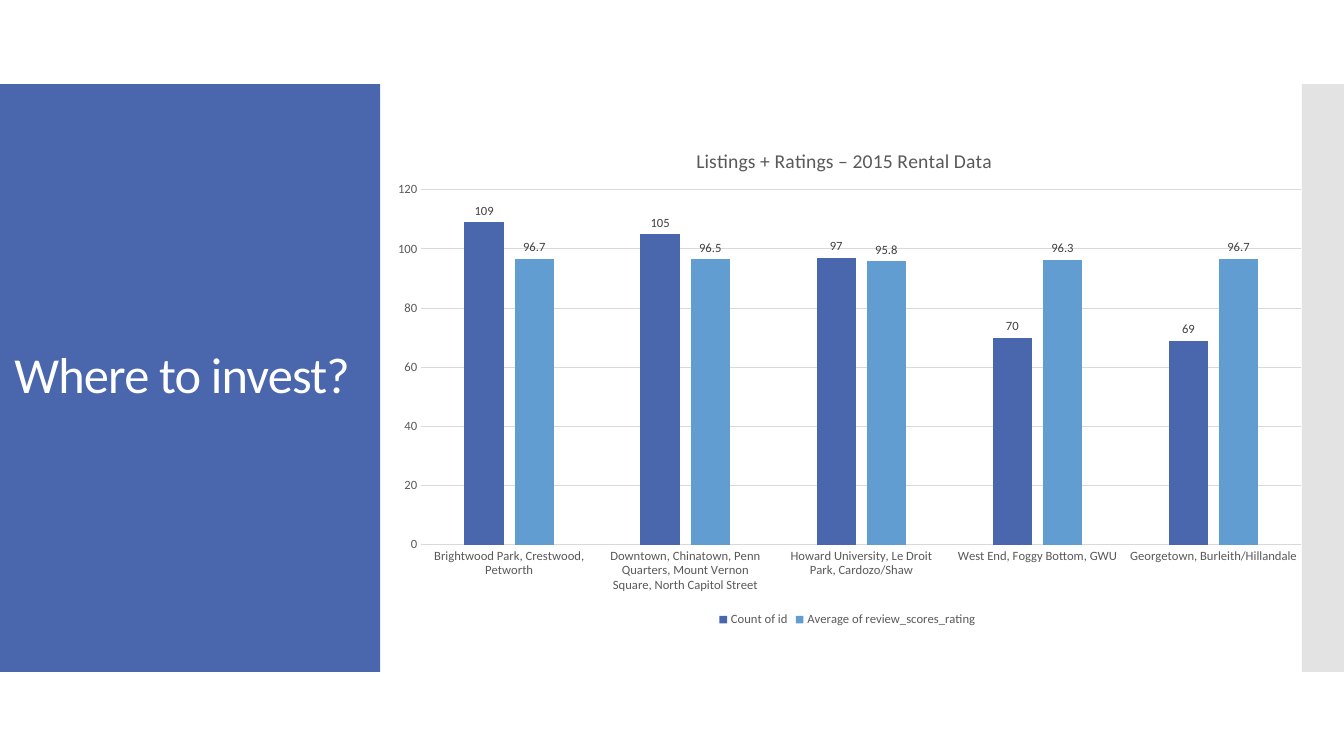
from lxml import etree
from pptx import Presentation
from pptx.chart.data import CategoryChartData
from pptx.dml.color import RGBColor
from pptx.enum.chart import XL_CHART_TYPE, XL_LABEL_POSITION, XL_LEGEND_POSITION, XL_TICK_MARK
from pptx.enum.shapes import MSO_SHAPE
from pptx.enum.text import MSO_ANCHOR, PP_ALIGN
from pptx.oxml import parse_xml
from pptx.oxml.ns import nsdecls, qn
from pptx.util import Pt

EMU_PER_PX = 9525
COLUMNS = XL_CHART_TYPE.COLUMN_CLUSTERED
OUTSIDE_END = XL_LABEL_POSITION.OUTSIDE_END
LEGEND_BOTTOM = XL_LEGEND_POSITION.BOTTOM
NO_TICK = XL_TICK_MARK.NONE
RECTANGLE = MSO_SHAPE.RECTANGLE
MIDDLE = MSO_ANCHOR.MIDDLE
CENTER = PP_ALIGN.CENTER

COLORS = {
    "indigo": "4A66AC",
    "sky": "629DD1",
    "silver": "C8C8C8",
    "grid": "D9D9D9",
    "axis_text": "595959",
    "label_text": "404040",
    "white": "FFFFFF",
}
FONT = "Calibri"
NEIGHBORHOODS = [
    "Brightwood Park, Crestwood, Petworth",
    "Downtown, Chinatown, Penn Quarters, Mount Vernon Square, North Capitol Street",
    "Howard University, Le Droit Park, Cardozo/Shaw",
    "West End, Foggy Bottom, GWU",
    "Georgetown, Burleith/Hillandale",
]
SERIES = [
    ("Count of id", [109, 105, 97, 70, 69], "indigo", "General"),
    ("Average of review_scores_rating", [96.7, 96.5, 95.8, 96.3, 96.7], "sky", "0.0"),
]


def px(*lengths):
    return [length * EMU_PER_PX for length in lengths]


def rgb(name):
    return RGBColor.from_string(COLORS[name])


def style_font(font, size, color):
    for name, value in {"name": FONT, "size": Pt(size), "bold": False}.items():
        setattr(font, name, value)
    font.color.rgb = rgb(color)


def place_manually(element, **fractions):
    """Fix a chart part at fractions of the chart's size."""
    settings = {"xMode": "edge", "yMode": "edge", **fractions}
    if element.tag == qn("c:plotArea"):
        settings = {"layoutTarget": "inner", **settings}
    values = "".join(f'<c:{key} val="{value}"/>' for key, value in settings.items())
    layout = parse_xml(
        f'<c:layout {nsdecls("c")}><c:manualLayout>{values}</c:manualLayout></c:layout>'
    )
    for old in element.findall(qn("c:layout")):
        element.remove(old)
    text = element.find(qn("c:tx"))
    if text is None:
        element.insert(0, layout)
    else:
        text.addnext(layout)


class SlideBuilder:
    def __init__(self, presentation):
        self.slide = presentation.slides.add_slide(presentation.slide_layouts[5])

    def panel(self, box, color, opacity=100):
        shape = self.slide.shapes.add_shape(RECTANGLE, *px(*box))
        shape.shadow.inherit = False
        shape.fill.solid()
        shape.fill.fore_color.rgb = rgb(color)
        shape.line.fill.background()
        if opacity < 100:
            fill_color = shape.element.spPr.find(qn("a:solidFill"))[0]
            etree.SubElement(fill_color, qn("a:alpha"), val=str(opacity * 1000))

    def title(self, box, text):
        shape = self.slide.shapes.title
        shape.left, shape.top, shape.width, shape.height = px(*box)
        shape.element.getparent().append(shape.element)  # in front of the panels
        frame = shape.text_frame
        frame.word_wrap = True
        frame.vertical_anchor = MIDDLE
        paragraph = frame.paragraphs[0]
        paragraph.alignment = CENTER
        paragraph.line_spacing = 0.9
        run = paragraph.add_run()
        run.text = text
        style_font(run.font, 36, "white")
        run.font.element.set("spc", "-60") if hasattr(run.font, "element") else \
            run._r.get_or_add_rPr().set("spc", "-60")

    def column_chart(self, box, heading):
        data = CategoryChartData()
        data.categories = NEIGHBORHOODS
        for name, values, _, number_format in SERIES:
            data.add_series(name, values, number_format)
        chart = self.slide.shapes.add_chart(COLUMNS, *px(*box), data).chart
        style_font(chart.font, 10, "axis_text")
        chart.has_title = True
        run = chart.chart_title.text_frame.paragraphs[0].add_run()
        run.text = heading
        style_font(run.font, 14, "axis_text")
        place_manually(chart.chart_title.element if hasattr(chart.chart_title, "element")
                       else chart.chart_title._element, x=0.335, y=0.04)
        chart.has_legend = True
        chart.legend.position = LEGEND_BOTTOM
        chart.legend.include_in_layout = False
        style_font(chart.legend.font, 9, "axis_text")
        plot = chart.plots[0]
        for name, value in {"gap_width": 219, "overlap": -27,
                            "vary_by_categories": False}.items():
            setattr(plot, name, value)
        for series, (_, _, color, number_format) in zip(plot.series, SERIES):
            self.color_series(series, color, number_format)
        self.format_axes(chart)
        plot_area = chart.element.chart.plotArea if hasattr(chart, "element") \
            else chart._chartSpace.chart.plotArea
        place_manually(plot_area, x=0.045, y=0.13, w=0.94, h=0.7)

    def color_series(self, series, color, number_format):
        series.format.fill.solid()
        series.format.fill.fore_color.rgb = rgb(color)
        labels = series.data_labels
        for name, value in {"show_value": True, "position": OUTSIDE_END,
                            "number_format": number_format,
                            "number_format_is_linked": False}.items():
            setattr(labels, name, value)
        style_font(labels.font, 9, "label_text")

    def format_axes(self, chart):
        values = chart.value_axis
        for axis in (chart.category_axis, values):
            axis.major_tick_mark = axis.minor_tick_mark = NO_TICK
            style_font(axis.tick_labels.font, 9, "axis_text")
        for name, value in {"minimum_scale": 0, "maximum_scale": 120,
                            "major_unit": 20, "has_major_gridlines": True}.items():
            setattr(values, name, value)
        values.format.line.fill.background()
        for line in (chart.category_axis.format.line, values.major_gridlines.format.line):
            line.color.rgb = rgb("grid")
            line.width = Pt(0.75)


def main():
    presentation = Presentation()
    presentation.slide_width, presentation.slide_height = px(1280, 720)
    builder = SlideBuilder(presentation)
    builder.panel((0, 80, 362, 560), "indigo")
    builder.panel((1240, 80, 40, 560), "silver", opacity=50)
    builder.title((-13, 118, 373, 483), "Where to invest?")
    builder.column_chart((361, 118, 892, 483), "Listings + Ratings – 2015 Rental Data")
    presentation.save("out.pptx")


if __name__ == "__main__":
    main()
